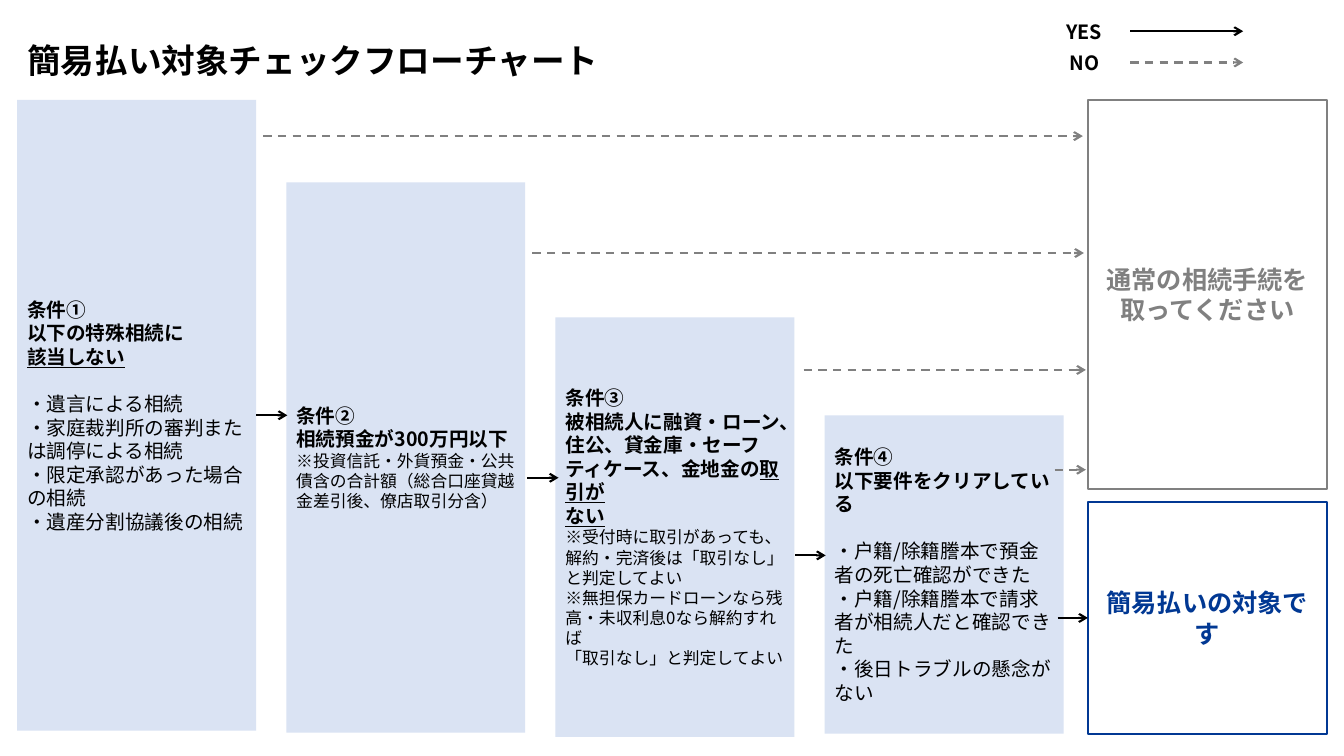
from pptx import Presentation
from pptx import util as u
from pptx.dml.color import RGBColor
from pptx.enum import dml, shapes, text
from pptx.oxml.ns import qn
from lxml import etree

PX = 9144  # EMU per px, 100 px to the inch
FONT = "Noto Sans CJK JP"
BLACK, GREY, NAVY, PALE, WHITE = "000000", "808080", "013893", "DAE3F3", "FFFFFF"
LEFT, CENTER = text.PP_ALIGN.LEFT, text.PP_ALIGN.CENTER
WIDE, STEP, EDGE = 237, 267, 17

HEAD = {"size": u.Pt(14), "bold": True}
MARK = {**HEAD, "underline": True}
ITEM = {"size": u.Pt(14), "bold": False}
NOTE = {"size": u.Pt(12), "bold": False}
TITLE = {"size": u.Pt(24), "bold": True}
GOAL = {"size": u.Pt(18), "bold": True}
GAP = {"space_before": u.Pt(17)}

# Each condition: top, height, paragraphs; a paragraph is (runs, paragraph format)
STEPS = [
    (99, 626, [
        ([("条件①", HEAD)], {}),
        ([("以下の特殊相続に", HEAD)], {}),
        ([("該当しない", MARK)], {}),
        ([("・遺言による相続", ITEM)], GAP),
        ([("・家庭裁判所の審判または調停による相続", ITEM)], {}),
        ([("・限定承認があった場合の相続", ITEM)], {}),
        ([("・遺産分割協議後の相続", ITEM)], {}),
    ]),
    (181, 546, [
        ([("条件②", HEAD)], {}),
        ([("相続預金が300万円以下", HEAD)], {}),
        ([("※投資信託・外貨預金・公共債含の合計額（総合口座貸越金差引後、僚店取引分含）", NOTE)], {}),
    ]),
    (315, 416, [
        ([("条件③", HEAD)], {}),
        ([("被相続人に融資・ローン、住公、貸金庫・セーフティケース、金地金の", HEAD),
          ("取引が", MARK)], {}),
        ([("ない", MARK)], {}),
        ([("※受付時に取引があっても、解約・完済後は「取引なし」と判定してよい", NOTE)], {}),
        ([("※無担保カードローンなら残高・未収利息0なら解約すれば\n「取引なし」と判定してよい", NOTE)], {}),
    ]),
    (412, 316, [
        ([("条件④", HEAD)], {}),
        ([("以下要件をクリアしている", HEAD)], {}),
        ([("・戸籍/除籍謄本で預金者の死亡確認ができた", ITEM)], GAP),
        ([("・戸籍/除籍謄本で請求者が相続人だと確認できた", ITEM)], {}),
        ([("・後日トラブルの懸念がない", ITEM)], {}),
    ]),
]

# Arrows: left end, right end, height on the slide
YES = [(523, 554, 474), (789, 819, 551)]
NO = [(261, 1074, 135), (528, 1075, 251), (797, 1077, 367), (1046, 1077, 466)]


def rgb(code):
    return RGBColor.from_string(code)


def px(*nums):
    return [n * PX for n in nums]


def style(item, form):
    for name, value in form.items():
        setattr(item, name, value)


def add_run(para, words, form, color):
    """Add words as runs, with a line break at each newline."""
    for i, part in enumerate(words.split("\n")):
        if i:
            para.add_line_break()
        run = para.add_run()
        run.text = part
        style(run.font, {"name": FONT, **form})
        run.font.color.rgb = rgb(color)
        east = etree.SubElement(run.font._element, qn("a:ea"))
        east.set("typeface", FONT)


def write(shape, paras, color=BLACK, align=LEFT):
    frame = shape.text_frame
    style(frame, {"word_wrap": True, "auto_size": text.MSO_AUTO_SIZE.NONE,
                  "vertical_anchor": text.MSO_ANCHOR.MIDDLE})
    for i, (runs, form) in enumerate(paras):
        para = frame.add_paragraph() if i else frame.paragraphs[0]
        style(para, {"alignment": align, **form})
        for words, font in runs:
            add_run(para, words, font, color)


def add_box(slide, place, fill, line=None):
    box = slide.shapes.add_shape(shapes.MSO_SHAPE.RECTANGLE, *px(*place))
    box.shadow.inherit = False
    box.fill.solid()
    box.fill.fore_color.rgb = rgb(fill)
    if line:
        box.line.color.rgb = rgb(line)
        box.line.width = u.Pt(1.5)
    else:
        box.line.fill.background()
    return box


def add_goal(slide, top, high, words, color):
    box = add_box(slide, (1079, top, WIDE, high), WHITE, color)
    write(box, [([(words, GOAL)], {})], color, CENTER)
    return box


def add_arrow(slide, left, right, y, yes):
    arrow = slide.shapes.add_connector(shapes.MSO_CONNECTOR.STRAIGHT, *px(left, y, right, y))
    arrow.line.color.rgb = rgb(BLACK if yes else GREY)
    arrow.line.width = u.Pt(1.5)
    if not yes:
        arrow.line.dash_style = dml.MSO_LINE.DASH
    props = arrow._element.spPr
    etree.SubElement(props.find(qn("a:ln")), qn("a:tailEnd")).set("type", "arrow")
    etree.SubElement(props, qn("a:effectLst"))
    return arrow


def add_key(slide, words, y, yes):
    """Add one legend row centred on y."""
    add_arrow(slide, 1121, 1233, y, yes)
    label = slide.shapes.add_textbox(*px(1038, y - 13, 75, 26))
    write(label, [([(words, HEAD)], {})], align=CENTER)


def add_title(slide, words):
    title = slide.shapes.title
    style(title, dict(zip(("left", "top", "width", "height"), px(17, 25, 616, 75))))
    write(title, [([(words, TITLE)], {"line_spacing": 0.9})])


def main():
    deck = Presentation()
    deck.slide_width, deck.slide_height = px(1333, 750)
    slide = deck.slides.add_slide(deck.slide_layouts[5])
    add_title(slide, "簡易払い対象チェックフローチャート")
    add_key(slide, "YES", 31, True)
    add_key(slide, "NO", 62, False)

    boxes = []
    for i, (top, high, paras) in enumerate(STEPS):
        box = add_box(slide, (EDGE + STEP * i, top, WIDE, high), PALE)
        write(box, paras)
        boxes.append(box)
    add_goal(slide, 99, 386, "通常の相続手続を取ってください", GREY)
    goal = add_goal(slide, 498, 230, "簡易払いの対象です", NAVY)

    for yes, rows in ((True, YES), (False, NO)):
        for left, right, y in rows:
            add_arrow(slide, left, right, y, yes)
    add_arrow(slide, 254, 285, 412, True).begin_connect(boxes[0], 3)
    add_arrow(slide, 1049, 1079, 613, True).end_connect(goal, 1)
    deck.save("out.pptx")


if __name__ == "__main__":
    main()
